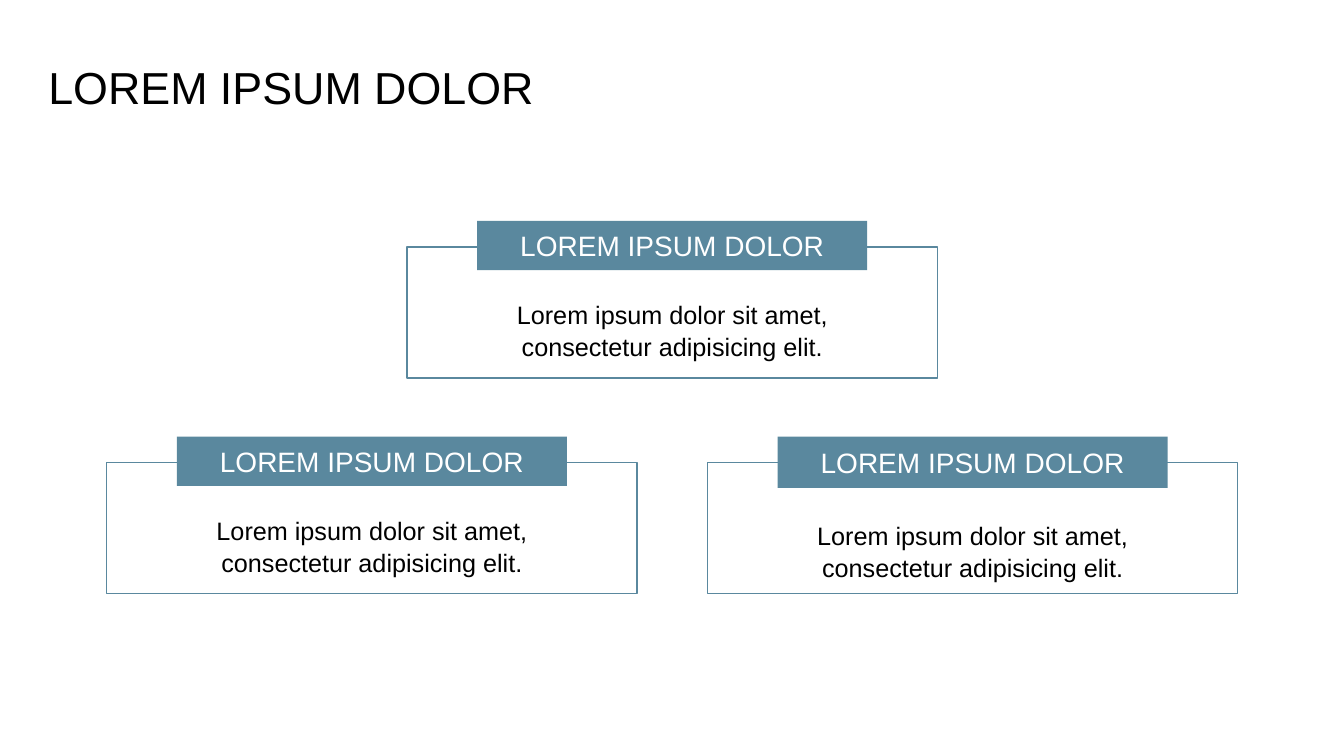
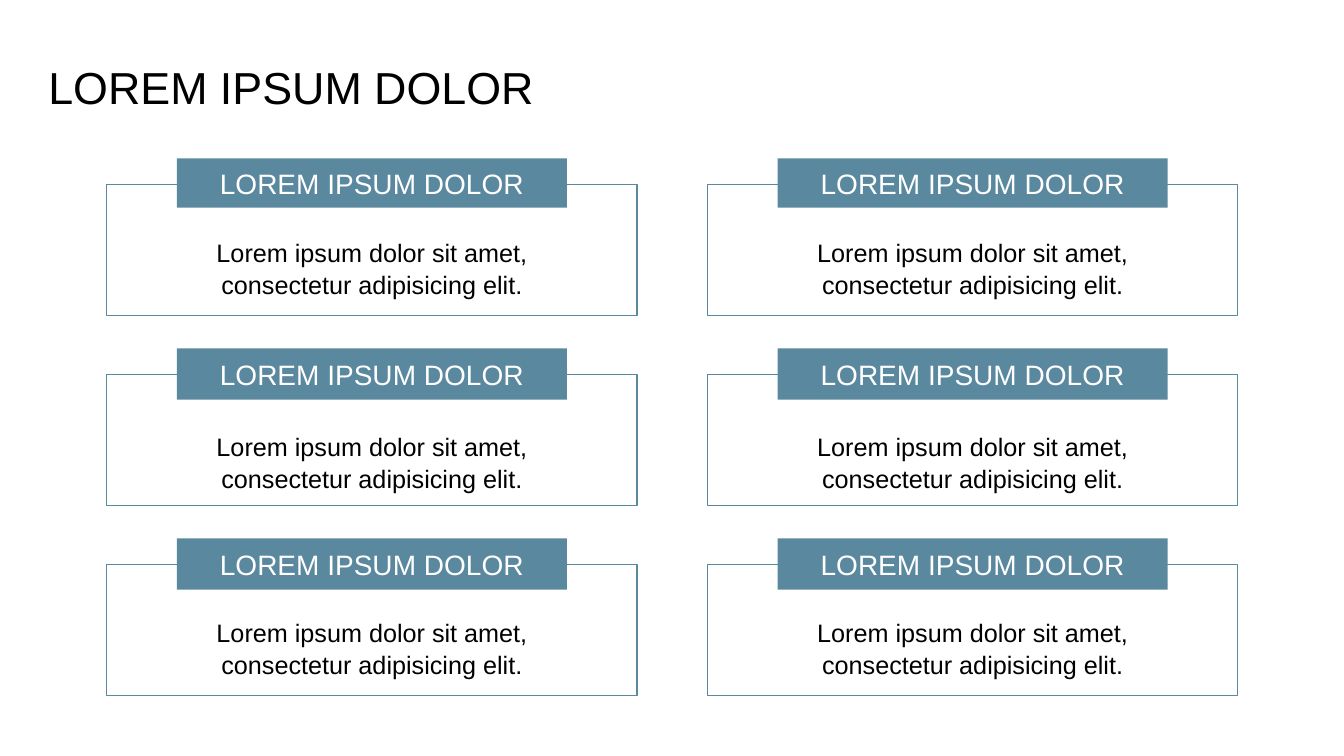
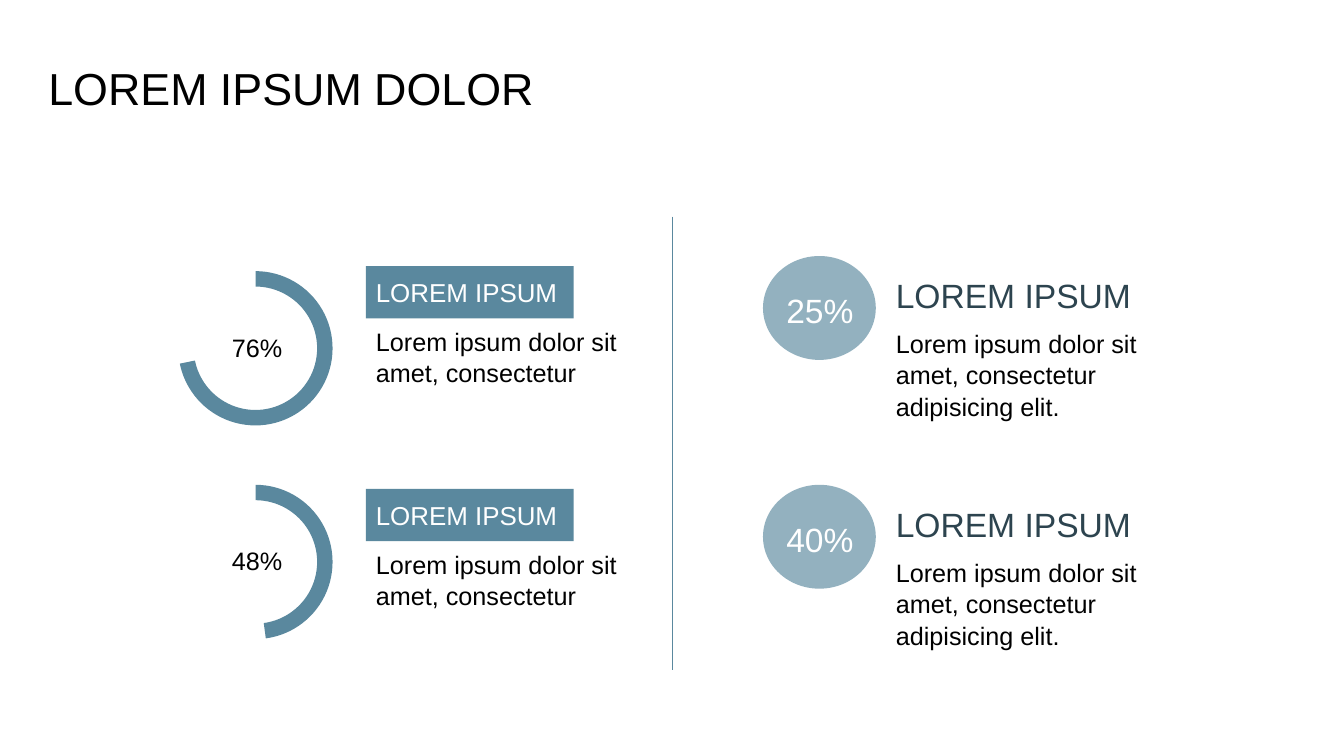
import lxml.etree
import pptx
import pptx.dml.color
import pptx.enum.shapes
import pptx.enum.text
import pptx.oxml.ns
import pptx.util

Pt = pptx.util.Pt
RGBColor = pptx.dml.color.RGBColor
SHAPE = pptx.enum.shapes.MSO_SHAPE
ANCHOR = pptx.enum.text.MSO_ANCHOR
ALIGN = pptx.enum.text.PP_ALIGN
qn = pptx.oxml.ns.qn

TEAL = RGBColor(0x5A, 0x88, 0x9E)
SLATE = RGBColor(0x2D, 0x44, 0x4F)
BLACK = RGBColor(0, 0, 0)
WHITE = RGBColor(0xFF, 0xFF, 0xFF)
FONT = "Arial"

TITLE = "LOREM IPSUM DOLOR"
HEADING = "LOREM IPSUM"
SHORT_BODY = "Lorem ipsum dolor sit amet, consectetur"
BODY = SHORT_BODY + " adipisicing elit."

CARD_WIDTH, CARD_HEIGHT = 378.7, 93.6
LEFT_COLUMN, RIGHT_COLUMN = 76.3, 505.4
CENTRE_COLUMN = (LEFT_COLUMN + RIGHT_COLUMN) / 2


def write(holder, text, size, color, align=ALIGN.LEFT, anchor=ANCHOR.TOP, spacing=1.0):
    """Put one styled run into a shape or text box."""
    frame = holder.text_frame
    frame.word_wrap = True
    frame.vertical_anchor = anchor
    paragraph = frame.paragraphs[0]
    paragraph.alignment = align
    paragraph.line_spacing = spacing
    run = paragraph.add_run()
    run.text = text
    run.font.name = FONT
    run.font.size = Pt(size)
    run.font.color.rgb = color


def add_text(slide, left, top, width, height, text, size, color, **style):
    """Add a wrapping text box at the given place in points."""
    box = slide.shapes.add_textbox(Pt(left), Pt(top), Pt(width), Pt(height))
    write(box, text, size, color, **style)


def add_body(slide, left, top, width, height, text, align=ALIGN.LEFT):
    """Add body copy in the shared body style."""
    add_text(slide, left, top, width, height, text, 18, BLACK, align=align, spacing=1.05)


def add_solid(slide, kind, left, top, width, height):
    """Add a borderless teal shape."""
    solid = slide.shapes.add_shape(kind, Pt(left), Pt(top), Pt(width), Pt(height))
    solid.shadow.inherit = False
    solid.fill.solid()
    solid.fill.fore_color.rgb = TEAL
    solid.line.fill.background()
    return solid


def add_titled_slide(deck, title_top=43.2):
    """Start a blank slide with the shared title."""
    slide = deck.slides.add_slide(deck.slide_layouts[6])
    add_text(slide, 27.4, title_top, 665.3, 42.5, TITLE, 32, BLACK,
             anchor=ANCHOR.MIDDLE, spacing=0.9)
    return slide


def add_card(slide, left, top, tab_height=35.3, body_drop=33.1):
    """Draw an outlined card with a tab across its top edge and centred copy."""
    frame = slide.shapes.add_shape(SHAPE.RECTANGLE, Pt(left), Pt(top),
                                   Pt(CARD_WIDTH), Pt(CARD_HEIGHT))
    frame.shadow.inherit = False
    frame.fill.background()
    frame.line.color.rgb = TEAL
    frame.line.width = Pt(1)
    body_width, tab_width = 323.3, 278.6
    add_body(slide, left + (CARD_WIDTH - body_width) / 2, top + body_drop,
             body_width, tab_height * 1.5, BODY, ALIGN.CENTER)
    tab = add_solid(slide, SHAPE.RECTANGLE, left + (CARD_WIDTH - tab_width) / 2,
                    top - 18.7, tab_width, tab_height)
    write(tab, TITLE, 20, WHITE, ALIGN.CENTER, ANCHOR.MIDDLE)


def add_ring(slide, left, top, percent, arc_end):
    """Draw a ring gauge with its percentage in the middle."""
    ring = add_solid(slide, SHAPE.BLOCK_ARC, left, top, 110.2, 110.2)
    for index, value in enumerate((162.1, arc_end, 0.1)):
        ring.adjustments[index] = value
    add_text(slide, left + 16.6, top + 37.4, 79.2, 33.8, percent, 18, BLACK,
             align=ALIGN.CENTER, anchor=ANCHOR.MIDDLE)


def add_banded_note(slide, left, top):
    """Draw a heading band with short copy below it."""
    band = add_solid(slide, SHAPE.RECTANGLE, left, top, 148.3, 37.4)
    write(band, HEADING, 18.5, WHITE, anchor=ANCHOR.MIDDLE)
    add_body(slide, left, top + 38.2, 193, 60.5, SHORT_BODY)


def add_bubble_note(slide, left, top, percent):
    """Draw a translucent percentage bubble with heading and copy beside it."""
    bubble = add_solid(slide, SHAPE.OVAL, left, top, 80.6, 74.2)
    tint = bubble.element.spPr.find(".//" + qn("a:srgbClr"))
    lxml.etree.SubElement(tint, qn("a:alpha")).set("val", "65000")
    add_text(slide, left + 0.7, top + 1.4, 80, 74.2, percent, 24, WHITE,
             align=ALIGN.CENTER, anchor=ANCHOR.MIDDLE)
    add_text(slide, left + 87.8, top, 233, 46, HEADING, 24, SLATE, anchor=ANCHOR.BOTTOM)
    add_body(slide, left + 87.8, top + 46.8, 233, 62, BODY)


def add_divider(slide, x, top, bottom):
    """Draw the thin vertical line between the two halves."""
    divider = slide.shapes.add_connector(pptx.enum.shapes.MSO_CONNECTOR.STRAIGHT,
                                         Pt(x), Pt(top), Pt(x), Pt(bottom))
    divider.line.color.rgb = TEAL
    divider.line.width = Pt(0.5)
    lxml.etree.SubElement(divider.element.spPr, qn("a:effectLst"))


def build_three_cards(deck):
    """Build the slide with one card above two."""
    slide = add_titled_slide(deck)
    add_card(slide, CENTRE_COLUMN, 176.4)
    add_card(slide, LEFT_COLUMN, 330.5)
    add_card(slide, RIGHT_COLUMN, 330.5, 36.7, 36.7)


def build_six_cards(deck):
    """Build the slide with a grid of two columns and three rows."""
    slide = add_titled_slide(deck)
    rows = ((35.3, 33.1), (36.7, 36.2), (36.7, 33.1))
    for row, (tab_height, body_drop) in enumerate(rows):
        for left in (LEFT_COLUMN, RIGHT_COLUMN):
            add_card(slide, left, 131.8 + row * 135.7, tab_height, body_drop)


def build_percentages(deck):
    """Build the slide with ring gauges on the left and bubbles on the right."""
    slide = add_titled_slide(deck, 43.9)
    add_divider(slide, 480, 154.8, 478.8)
    stats = (("76%", 101.11, "25%"), ("48%", 49.35, "40%"))
    for row, (ring_percent, arc_end, bubble_percent) in enumerate(stats):
        add_ring(slide, 127.4, 193.7 + row * 152.6, ring_percent, arc_end)
        add_banded_note(slide, 261.4, 190 + row * 159.2)
        add_bubble_note(slide, 545, 182.9 + row * 163.4, bubble_percent)


def main():
    """Build and save the presentation."""
    deck = pptx.Presentation()
    deck.slide_width, deck.slide_height = Pt(960), Pt(540)
    build_three_cards(deck)
    build_six_cards(deck)
    build_percentages(deck)
    deck.save("out.pptx")


if __name__ == "__main__":
    main()
